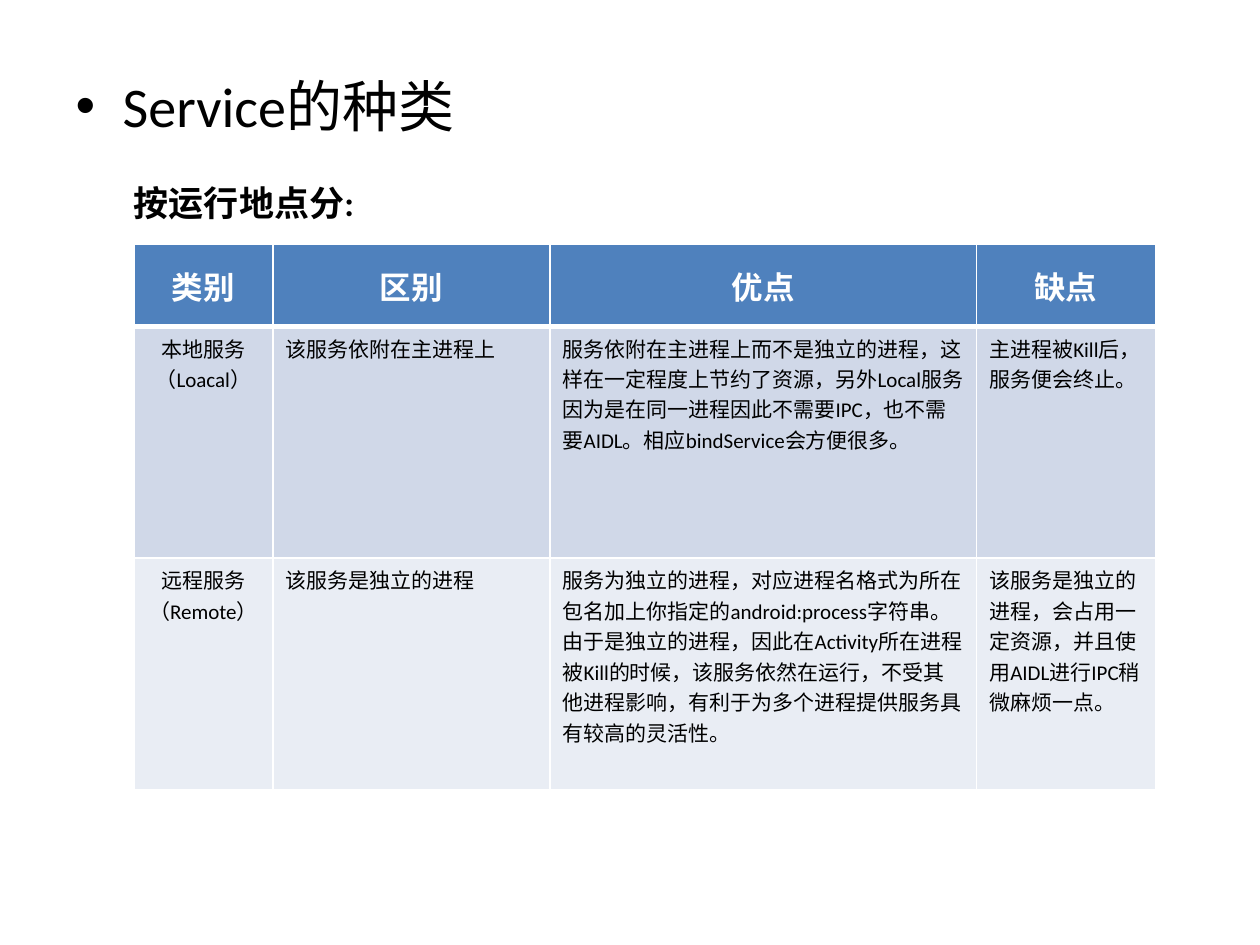
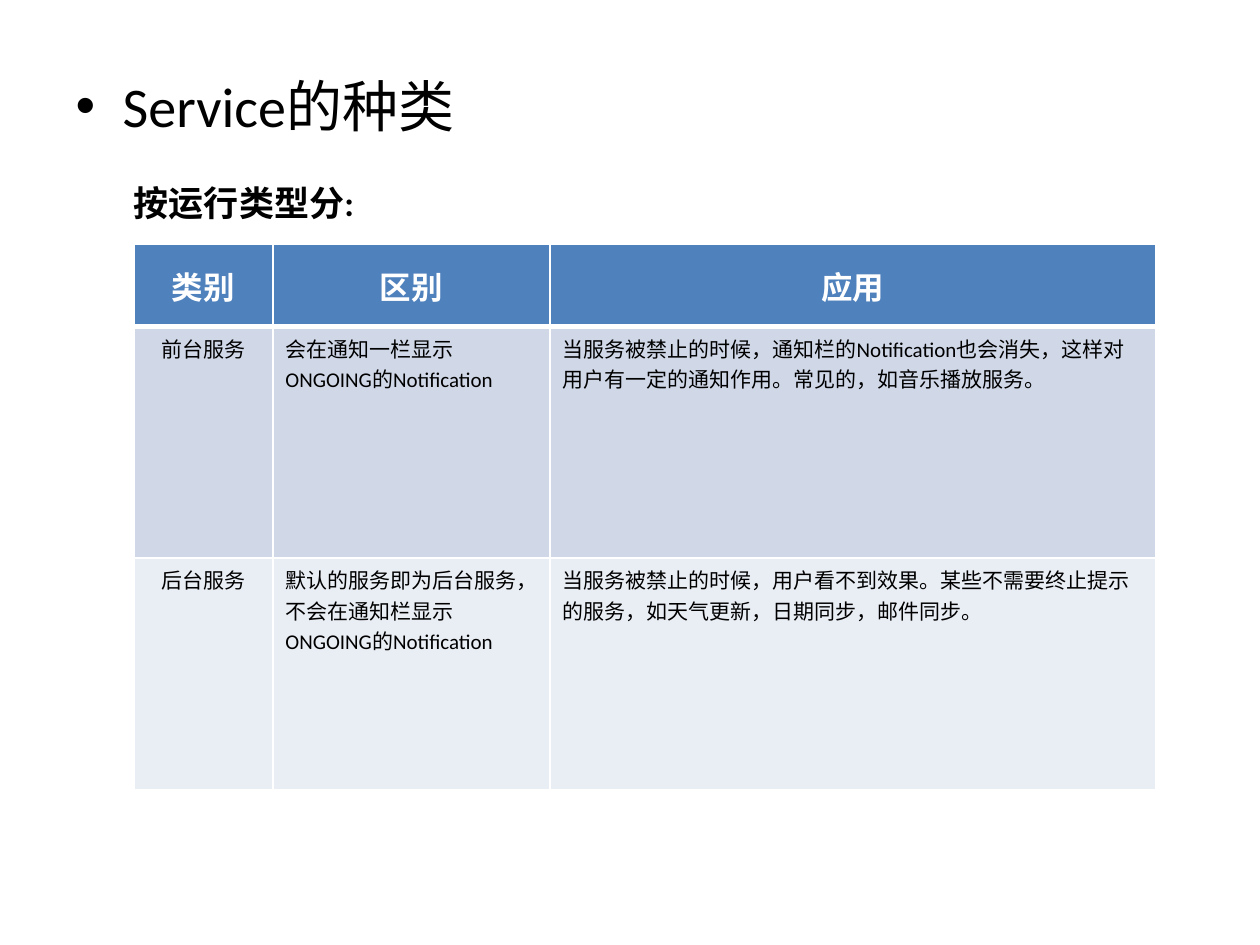
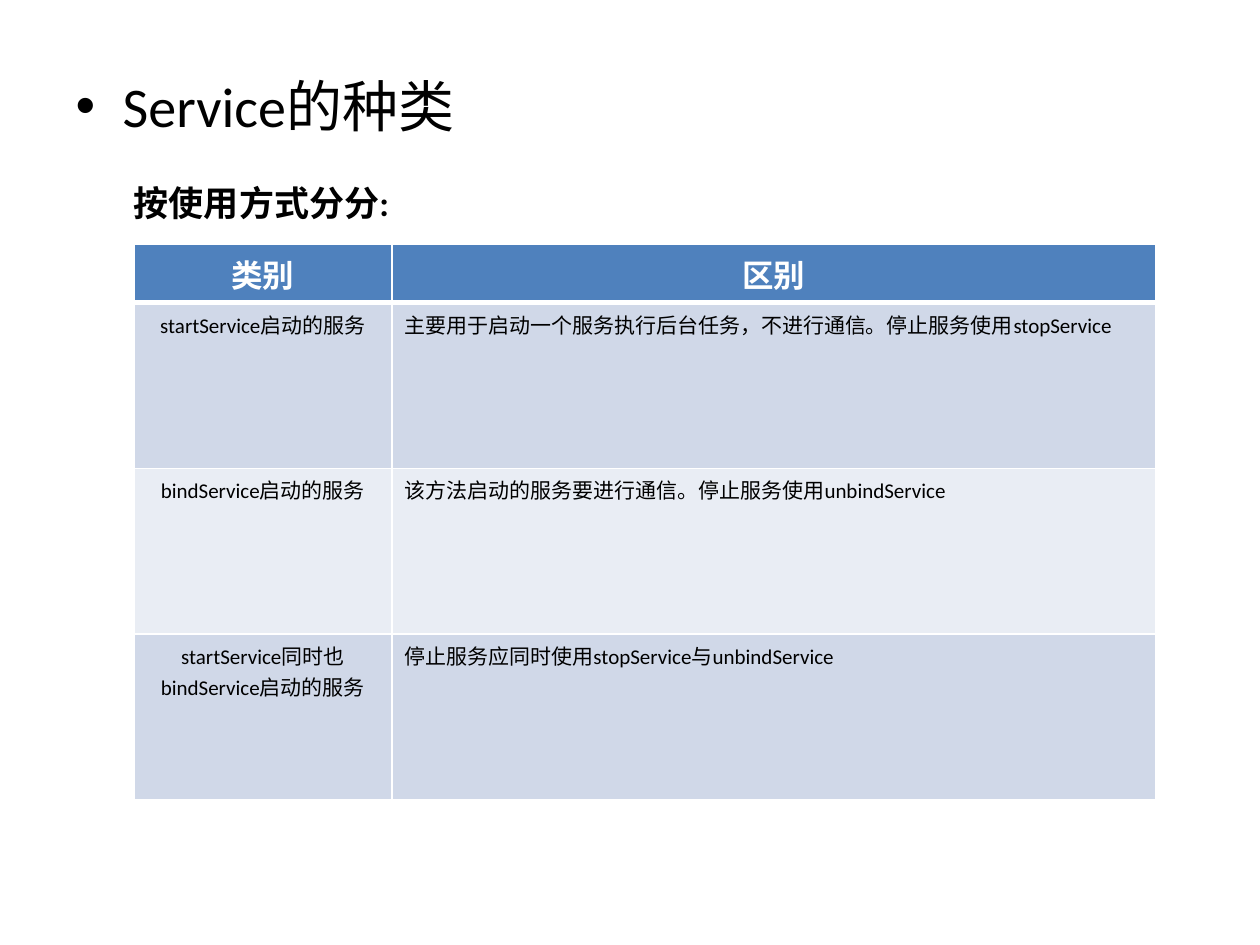
"""Build three slides that sort services by place, type and use."""
import dataclasses

import lxml.etree
import pptx
import pptx.dml.color
import pptx.enum.text
import pptx.oxml.ns
import pptx.util

Cm = pptx.util.Cm
Pt = pptx.util.Pt
ALIGN = pptx.enum.text.PP_ALIGN
ANCHOR = pptx.enum.text.MSO_ANCHOR


@dataclasses.dataclass(frozen=True)
class Theme:
    """Colours and type sizes of the deck."""
    font: str = "Calibri"
    ink: str = "000000"
    white: str = "FFFFFF"
    head: str = "4F81BD"
    bands: tuple = ("D0D8E8", "E9EDF4")
    title: int = 32
    label: int = 20
    top: int = 18
    body: int = 12
    thin: int = 1
    thick: int = 3


def color(code):
    """Turn a hex code into a colour."""
    return pptx.dml.color.RGBColor.from_string(code)


def add(parent, tag, **attrs):
    """Append a child element to an XML parent."""
    return lxml.etree.SubElement(parent, pptx.oxml.ns.qn(tag), **attrs)


class Deck:
    """Holds the style and the current slide."""

    def __init__(self, theme):
        """Start an empty 4:3 deck."""
        self.theme = theme
        self.show = pptx.Presentation()
        self.show.slide_width, self.show.slide_height = Cm(25.4), Cm(19.05)
        self.slide = None

    def style(self, par, size, code, bold=False):
        """Set the font of a paragraph."""
        par.font.name = self.theme.font
        par.font.size = Pt(size)
        par.font.bold = bold
        par.font.color.rgb = color(code)

    def indent(self, par, first):
        """Set the left margin, the first line and the gap above."""
        props = par._p.get_or_add_pPr()
        props.set("marL", str(Cm(0.95)))
        props.set("indent", str(first))
        return props

    def title(self, text):
        """Add a slide with a bulleted title."""
        self.slide = self.show.slides.add_slide(self.show.slide_layouts[5])
        shape = self.slide.shapes.title
        shape.left, shape.top = Cm(1.27), Cm(1.32)
        shape.width, shape.height = Cm(22.86), Cm(1.6)
        frame = shape.text_frame
        frame.text = text
        frame.vertical_anchor = ANCHOR.TOP
        frame.auto_size = pptx.enum.text.MSO_AUTO_SIZE.NONE
        par = frame.paragraphs[0]
        par.alignment = ALIGN.LEFT
        par.space_before = Pt(0.2 * self.theme.title)
        props = self.indent(par, -Cm(0.95))
        add(props, "a:buFont", typeface="Arial")
        add(props, "a:buChar", char="•")
        self.style(par, self.theme.title, self.theme.ink)

    def label(self, text):
        """Add the bold line above the table."""
        box = self.slide.shapes.add_textbox(
            Cm(1.5), Cm(3.12), Cm(22.86), Cm(14.6))
        box.text_frame.word_wrap = True
        par = box.text_frame.paragraphs[0]
        par.text = text
        par.line_spacing = 1.5
        par.space_before = Pt(0.2 * self.theme.label)
        self.indent(par, 0)
        self.style(par, self.theme.label, self.theme.ink, True)

    def edges(self, cell, row):
        """Draw white borders, thick below the head row."""
        look = self.theme
        widths = {
            "L": look.thin,
            "R": look.thin,
            "T": look.thick if row == 1 else look.thin,
            "B": look.thick if row == 0 else look.thin,
        }
        props = cell._tc.get_or_add_tcPr()
        for side, width in widths.items():
            line = add(props, "a:ln" + side, w=str(Pt(width)))
            fill = add(line, "a:solidFill")
            add(fill, "a:srgbClr", val=look.white)

    def cell(self, cell, text, row, col):
        """Fill and style one table cell."""
        look, head = self.theme, row == 0
        self.edges(cell, row)
        cell.fill.solid()
        cell.fill.fore_color.rgb = color(
            look.head if head else look.bands[(row - 1) % 2])
        cell.vertical_anchor = ANCHOR.MIDDLE if head else ANCHOR.TOP
        cell.text = text
        par = cell.text_frame.paragraphs[0]
        par.alignment = ALIGN.CENTER if head or col == 0 else ALIGN.LEFT
        if head:
            self.style(par, look.top, look.white, True)
        else:
            self.style(par, look.body, look.ink)

    def table(self, rows, widths, top, high):
        """Add a table with a head row and equal body rows."""
        tall = [top] + [high] * (len(rows) - 1)
        grid = self.slide.shapes.add_table(
            len(rows), len(widths), Cm(2.7), Cm(4.93),
            Cm(sum(widths)), Cm(sum(tall))).table
        for col, width in enumerate(widths):
            grid.columns[col].width = Cm(width)
        for row, texts in enumerate(rows):
            grid.rows[row].height = Cm(tall[row])
            for col, text in enumerate(texts):
                self.cell(grid.cell(row, col), text, row, col)


PAGES = [
    ("按运行地点分:", (2.8, 5.59, 8.6, 3.6), 1.65, 4.67, [
        ("类别", "区别", "优点", "缺点"),
        ("本地服务（Loacal）", "该服务依附在主进程上",
         "服务依附在主进程上而不是独立的进程，这样在一定程度上节约了资源，"
         "另外Local服务因为是在同一进程因此不需要IPC，也不需要AIDL。"
         "相应bindService会方便很多。",
         "主进程被Kill后，服务便会终止。"),
        ("远程服务（Remote）", "该服务是独立的进程",
         "服务为独立的进程，对应进程名格式为所在包名加上你指定的"
         "android:process字符串。由于是独立的进程，因此在Activity所在进程被"
         "Kill的时候，该服务依然在运行，不受其他进程影响，"
         "有利于为多个进程提供服务具有较高的灵活性。",
         "该服务是独立的进程，会占用一定资源，"
         "并且使用AIDL进行IPC稍微麻烦一点。"),
    ]),
    ("按运行类型分:", (2.8, 5.59, 12.2), 1.65, 4.67, [
        ("类别", "区别", "应用"),
        ("前台服务", "会在通知一栏显示ONGOING的Notification",
         "当服务被禁止的时候，通知栏的Notification也会消失，"
         "这样对用户有一定的通知作用。常见的，如音乐播放服务。"),
        ("后台服务",
         "默认的服务即为后台服务，不会在通知栏显示ONGOING的Notification",
         "当服务被禁止的时候，用户看不到效果。某些不需要终止提示的服务，"
         "如天气更新，日期同步，邮件同步。"),
    ]),
    ("按使用方式分分:", (5.2, 15.39), 1.17, 3.34, [
        ("类别", "区别"),
        ("startService启动的服务",
         "主要用于启动一个服务执行后台任务，不进行通信。"
         "停止服务使用stopService"),
        ("bindService启动的服务",
         "该方法启动的服务要进行通信。停止服务使用unbindService"),
        ("startService同时也bindService启动的服务",
         "停止服务应同时使用stopService与unbindService"),
    ]),
]

deck = Deck(Theme())
for label, widths, top, high, rows in PAGES:
    deck.title("Service的种类")
    deck.label(label)
    deck.table(rows, widths, top, high)
deck.show.save("out.pptx")
